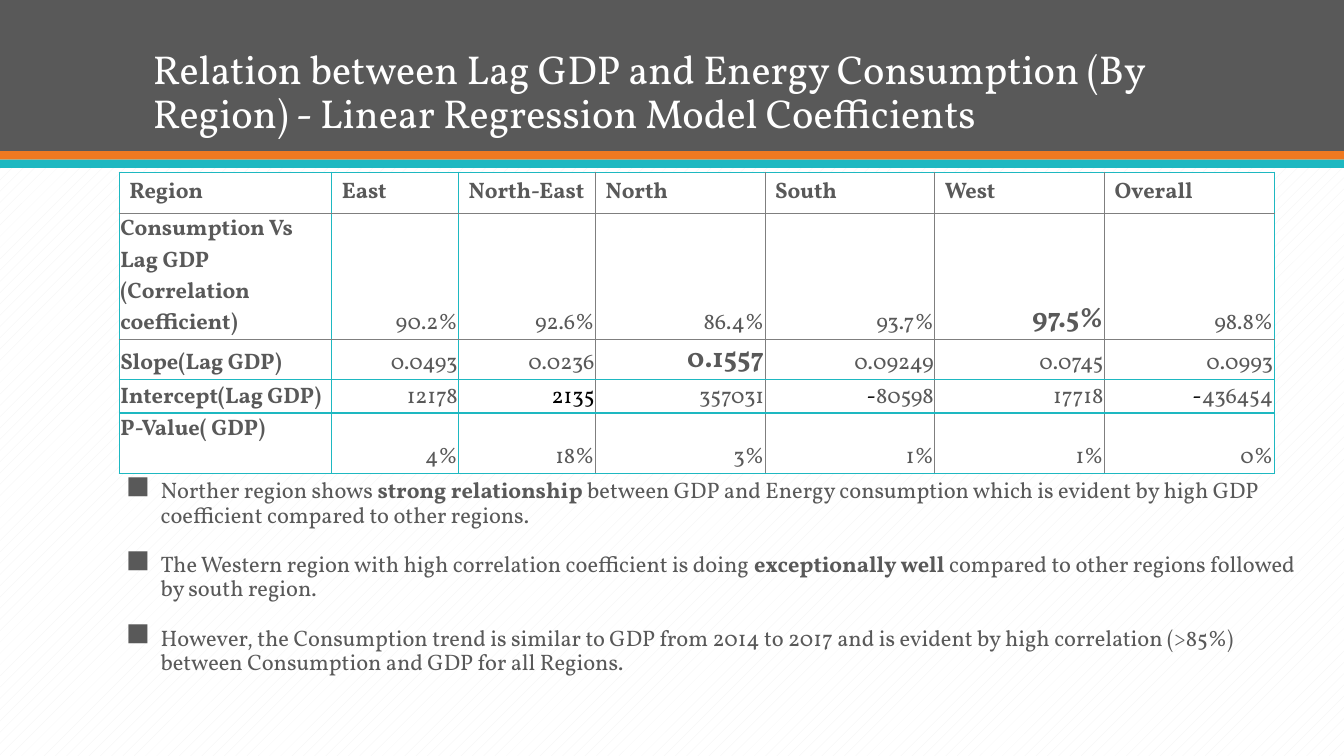
from lxml.etree import SubElement
from pptx import Presentation
from pptx.dml.color import RGBColor
from pptx.enum.dml import MSO_PATTERN
from pptx.enum.shapes import MSO_SHAPE
from pptx.enum.text import MSO_ANCHOR, MSO_AUTO_SIZE, PP_ALIGN
from pptx.oxml import parse_xml
from pptx.oxml.ns import nsdecls, qn
from pptx.util import Inches, Pt

GREY, ORANGE, TEAL = "595959", "EF7920", "1EB8C1"
WHITE, BLACK, RULE_GREY = "FFFFFF", "000000", "7F7F7F"
GRID_COLUMNS, GRID_ROWS = 160, 90

TITLE = (
    "Relation between Lag GDP and Energy Consumption (By Region)"
    " - Linear Regression Model Coefficients"
)
COLUMN_WIDTHS = [25.3, 15.1, 16.3] + [20.2] * 4
ROW_HEIGHTS = [4.9, 15, 4.75, 3.95, 7.2]
GREY_COLUMN_RULES = {3, 4, 5, 6}
GREY_ROW_RULES = {1, 2}
COEFFICIENTS = [
    ["Region", "East", "North-East", "North", "South", "West", "Overall"],
    ["Consumption Vs Lag GDP\n(Correlation coefficient)",
     "90.2%", "92.6%", "86.4%", "93.7%", "97.5%", "98.8%"],
    ["Slope(Lag GDP)", "0.0493", "0.0236", "0.1557", "0.09249", "0.0745", "0.0993"],
    ["Intercept(Lag GDP)", "12178", "2135", "357031", "-80598", "17718", "-436454"],
    ["P-Value( GDP)", "4%", "18%", "3%", "1%", "1%", "0%"],
]
HIGHLIGHTS = {"97.5%", "0.1557"}
BLACK_VALUES = {"2135"}
FINDINGS = [
    [("Norther region shows ", False), ("strong relationship", True),
     (" between GDP and Energy consumption which is evident by high GDP "
      "coefficient compared to other regions.", False)],
    [("The Western region with high correlation coefficient is doing ", False),
     ("exceptionally well", True),
     (" compared to other regions followed by south region.", False)],
    [("However, the Consumption trend is similar to GDP from 2014 to 2017 and is "
      "evident by high correlation (>85%) between Consumption and GDP for all Regions.",
      False)],
]


def color(value):
    return RGBColor.from_string(value)


class RegionSlide:
    font = "Vollkorn"
    text_size = 16

    def __init__(self, deck):
        self.column = deck.slide_width / GRID_COLUMNS
        self.row = deck.slide_height / GRID_ROWS
        self.page = deck.slides.add_slide(deck.slide_layouts[1])

    def area(self, left, top, width, height):
        return (round(left * self.column), round(top * self.row),
                round(width * self.column), round(height * self.row))

    def background(self, front, back):
        fill = self.page.background.fill
        fill.patterned()
        fill.pattern = MSO_PATTERN.PERCENT_10
        fill.fore_color.rgb = color(front)
        fill.back_color.rgb = color(back)

    def band(self, top, height, fill):
        shape = self.page.shapes.add_shape(
            MSO_SHAPE.RECTANGLE, *self.area(0, top, GRID_COLUMNS, height))
        shape.shadow.inherit = False
        shape.fill.solid()
        shape.fill.fore_color.rgb = color(fill)
        shape.line.fill.background()
        self.page.shapes.title.element.addprevious(shape.element)

    def span(self, para, text, size=text_size, bold=False, ink=GREY):
        span = para.add_run()
        span.text = text
        span.font.name = self.font
        span.font.size = Pt(size)
        span.font.bold = bold
        span.font.color.rgb = color(ink)

    def place(self, box, area, anchor):
        box.left, box.top, box.width, box.height = self.area(*area)
        frame = box.text_frame
        frame.word_wrap = True
        frame.auto_size = MSO_AUTO_SIZE.NONE
        frame.vertical_anchor = anchor
        return frame

    def title(self, text, *area):
        frame = self.place(self.page.shapes.title, area, MSO_ANCHOR.BOTTOM)
        para = frame.paragraphs[0]
        para.alignment = PP_ALIGN.LEFT
        para.line_spacing = 0.9
        self.span(para, text, 28.8, ink=WHITE)

    def bullets(self, items, *area):
        frame = self.place(self.page.placeholders[1], area, MSO_ANCHOR.TOP)
        for index, item in enumerate(items):
            para = frame.add_paragraph() if index else frame.paragraphs[0]
            para.line_spacing = 0.9
            para.space_before = Pt(18)
            properties = para._p.get_or_add_pPr()
            properties.set("marL", str(Inches(0.31)))
            properties.set("indent", str(-Inches(0.31)))
            SubElement(properties, qn("a:buFont"), typeface="Wingdings 2")
            SubElement(properties, qn("a:buChar"), char="➢")
            for text, bold in item:
                self.span(para, text, bold=bold)

    def table(self, values, left, top, widths, heights):
        area = self.area(left, top, sum(widths), sum(heights))
        table = self.page.shapes.add_table(len(heights), len(widths), *area).table
        table.first_row = table.horz_banding = False
        for column, width in zip(table.columns, widths):
            column.width = round(width * self.column)
        for row, height in zip(table.rows, heights):
            row.height = round(height * self.row)
        for row, texts in enumerate(values):
            for column, text in enumerate(texts):
                cell = table.cell(row, column)
                self.fill_cell(cell, text, row, column)
                self.borders(cell, row, column)

    def fill_cell(self, cell, text, row, column):
        cell.fill.solid()
        cell.fill.fore_color.rgb = color(WHITE)
        if row:
            cell.margin_left = cell.margin_right = cell.margin_top = Inches(0.01)
            cell.margin_bottom = 0
            label_on_top = row == len(ROW_HEIGHTS) - 1 and column == 0
            cell.vertical_anchor = MSO_ANCHOR.TOP if label_on_top else MSO_ANCHOR.BOTTOM
        for index, line in enumerate(text.split("\n")):
            frame = cell.text_frame
            para = frame.add_paragraph() if index else frame.paragraphs[0]
            para.alignment = PP_ALIGN.RIGHT if row and column else PP_ALIGN.LEFT
            strong = row == 0 or column == 0 or text in HIGHLIGHTS
            size = 20 if text in HIGHLIGHTS else self.text_size
            if line.startswith("-"):
                self.span(para, "-", ink=BLACK)
                line = line[1:]
            self.span(para, line, size, strong, BLACK if text in BLACK_VALUES else GREY)

    def borders(self, cell, row, column):
        rules = [("lnL", column, GREY_COLUMN_RULES), ("lnR", column + 1, GREY_COLUMN_RULES),
                 ("lnT", row, GREY_ROW_RULES), ("lnB", row + 1, GREY_ROW_RULES)]
        for position, (side, rule, grey_rules) in enumerate(rules):
            ink = RULE_GREY if rule in grey_rules else TEAL
            line = parse_xml(
                f'<a:{side} {nsdecls("a")} w="{Pt(1)}"><a:solidFill>'
                f'<a:srgbClr val="{ink}"/></a:solidFill></a:{side}>')
            cell._tc.get_or_add_tcPr().insert(position, line)


def main():
    deck = Presentation()
    deck.slide_width, deck.slide_height = Inches(13.33), Inches(7.5)
    slide = RegionSlide(deck)
    slide.background("F2F2F2", WHITE)
    slide.band(0, 18, GREY)
    slide.band(18, 1, ORANGE)
    slide.band(19, 1, TEAL)
    slide.title(TITLE, 17, 3.4, 126, 13.5)
    slide.bullets(FINDINGS, 14.2, 56.5, 141.5, 31.4)
    slide.table(COEFFICIENTS, 14.2, 20.5, COLUMN_WIDTHS, ROW_HEIGHTS)
    deck.save("out.pptx")


if __name__ == "__main__":
    main()
